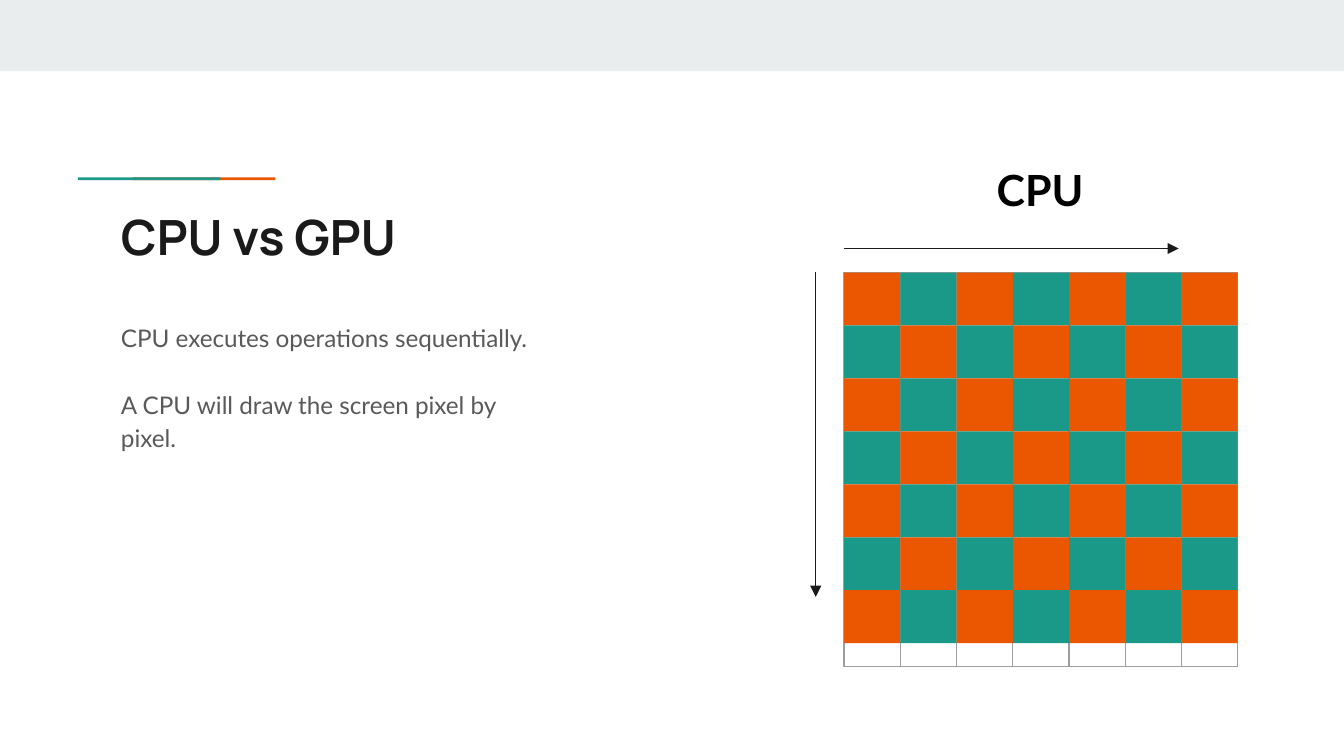
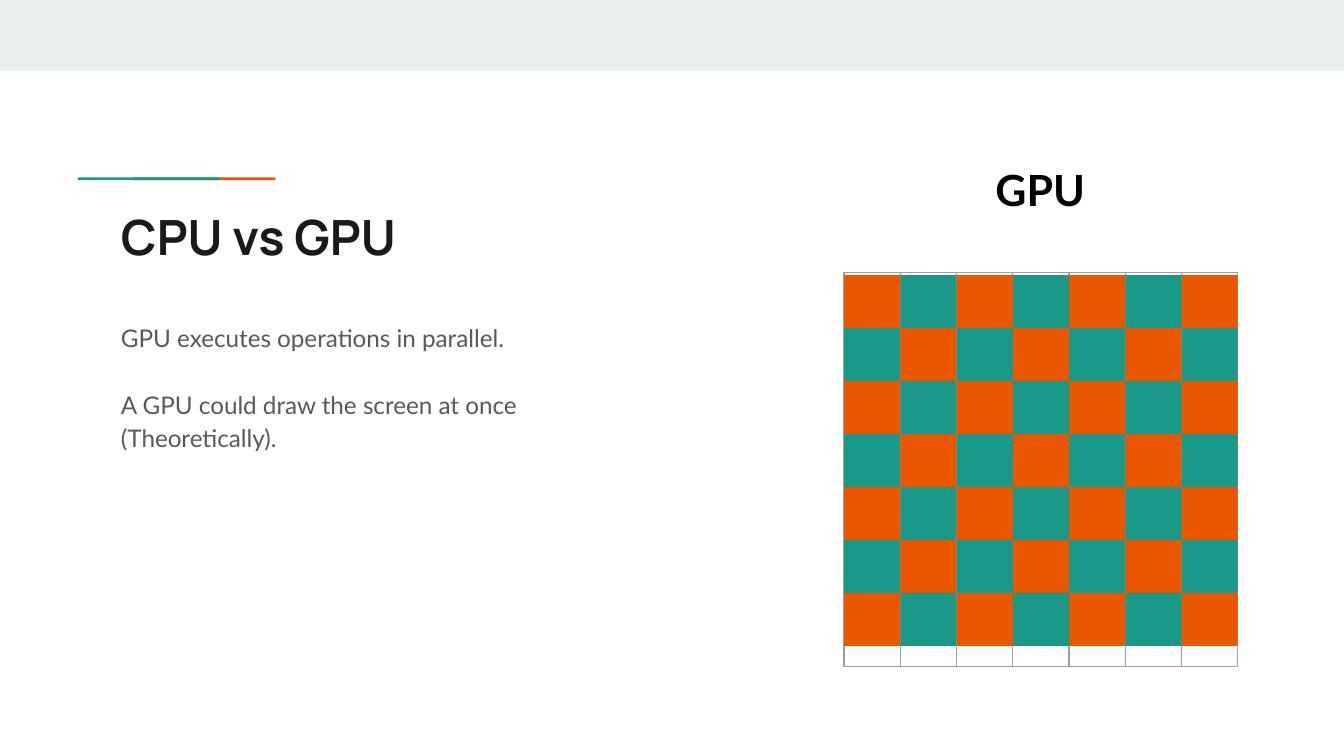
from dataclasses import dataclass
from itertools import product
from typing import Any

from lxml import etree
from pptx import Presentation
from pptx.dml.color import RGBColor
from pptx.enum.shapes import MSO_CONNECTOR, MSO_SHAPE
from pptx.enum.text import MSO_ANCHOR, MSO_AUTO_SIZE, PP_ALIGN
from pptx.oxml.ns import qn
from pptx.util import Inches, Pt

RECTANGLE = MSO_SHAPE.RECTANGLE
STRAIGHT = MSO_CONNECTOR.STRAIGHT
TOP = MSO_ANCHOR.TOP
LEFT, CENTER = PP_ALIGN.LEFT, PP_ALIGN.CENTER
NO_AUTOFIT = MSO_AUTO_SIZE.NONE

SLIDE_WIDTH, SLIDE_HEIGHT = Inches(10), Inches(5.625)
TITLE_AND_CONTENT = 1
CELLS = 7

# Colours
MIST, TEAL, ORANGE = "E9EDEE", "1A9988", "EB5600"
INK, GREY, BLACK, GRID_LINE = "1A1A1A", "595959", "000000", "9E9E9E"


# Lengths are percentages of the slide's width and height
def across(share: float) -> int:
    return round(SLIDE_WIDTH * share / 100)


def down(share: float) -> int:
    return round(SLIDE_HEIGHT * share / 100)


@dataclass(frozen=True)
class Area:
    left: float
    top: float
    width: float
    height: float

    def lengths(self) -> tuple[int, int, int, int]:
        return across(self.left), down(self.top), across(self.width), down(self.height)


@dataclass(frozen=True)
class Block:
    area: Area
    color: str


@dataclass(frozen=True)
class TextStyle:
    font: str
    size: float
    color: str
    bold: bool = False
    align: Any = LEFT
    line_spacing: float = 1.0
    gap: float = 0


@dataclass(frozen=True)
class Arrow:
    start: tuple[float, float]
    end: tuple[float, float]


@dataclass(frozen=True)
class Processor:
    name: str
    sentences: tuple[str, ...]
    board_top: float
    arrows: tuple[Arrow, ...] = ()


# Shared layout
DECORATION = (
    Block(Area(0, 0, 100, 9.42), MIST),
    Block(Area(9.9, 23.45, 10.6, 0.4), ORANGE),
    Block(Area(5.8, 23.45, 10.6, 0.4), TEAL),
)
TITLE_AREA = Area(8, 25.6, 42, 10.5)
BODY_AREA = Area(8, 40.36, 33, 43.9)
LABEL_AREA = Area(70.4, 19.9, 14, 9.8)
SCREEN_AREA = Area(62.8, 36.05, 29.3, 52.1)
BOARD_HEIGHT = 49.03

TITLE_STYLE = TextStyle("Manrope", 26, INK, bold=True)
BODY_STYLE = TextStyle("Lato", 13, GREY, line_spacing=1.15, gap=18)
LABEL_STYLE = TextStyle("Lato", 23, BLACK, bold=True, align=CENTER)

# Content of the two slides
TITLE = "CPU vs GPU"
PROCESSORS = (
    Processor(
        "CPU",
        ("CPU executes operations sequentially.",
         "A CPU will draw the screen pixel by pixel."),
        board_top=36.05,
        arrows=(Arrow((62.8, 32.87), (87.7, 32.87)),
                Arrow((60.7, 36.05), (60.7, 78.95))),
    ),
    Processor(
        "GPU",
        ("GPU executes operations in parallel.",
         "A GPU could draw the screen at once (Theoretically)."),
        board_top=36.41,
    ),
)


def rgb(color: str) -> RGBColor:
    return RGBColor.from_string(color)


def set_all(target: Any, values: dict[str, Any]) -> None:
    for name, value in values.items():
        setattr(target, name, value)


def place(box: Any, area: Area) -> None:
    set_all(box, dict(zip(("left", "top", "width", "height"), area.lengths())))


def draw_block(page: Any, block: Block) -> None:
    shape = page.shapes.add_shape(RECTANGLE, *block.area.lengths())
    shape.shadow.inherit = False
    shape.fill.solid()
    shape.fill.fore_color.rgb = rgb(block.color)
    shape.line.fill.background()


def write(box: Any, lines: tuple[str, ...], style: TextStyle) -> None:
    frame = box.text_frame
    margins = dict.fromkeys(
        ("margin_left", "margin_top", "margin_right", "margin_bottom"), Inches(0.1))
    set_all(frame, {"word_wrap": True, "auto_size": NO_AUTOFIT,
                    "vertical_anchor": TOP, **margins})
    for index, line in enumerate(lines):
        para = frame.add_paragraph() if index else frame.paragraphs[0]
        set_all(para, {"alignment": style.align, "line_spacing": style.line_spacing,
                       "space_before": Pt(0), "space_after": Pt(style.gap)})
        properties = para._p.get_or_add_pPr()
        properties.set("marL", "0")
        properties.set("indent", "0")
        etree.SubElement(properties, qn("a:buNone"))
        span = para.add_run()
        span.text = line
        set_all(span.font, {"name": style.font, "size": Pt(style.size),
                            "bold": style.bold})
        span.font.color.rgb = rgb(style.color)


def draw_arrow(page: Any, arrow: Arrow) -> None:
    (x1, y1), (x2, y2) = arrow.start, arrow.end
    connector = page.shapes.add_connector(
        STRAIGHT, across(x1), down(y1), across(x2), down(y2))
    connector.line.width = Pt(0.75)
    connector.line.color.rgb = rgb(INK)
    etree.SubElement(connector.line._get_or_add_ln(), qn("a:tailEnd"), type="triangle")
    etree.SubElement(connector._element.spPr, qn("a:effectLst"))


def outline_cell(cell: Any) -> None:
    properties = cell._tc.get_or_add_tcPr()
    for side in ("lnL", "lnR", "lnT", "lnB"):
        line = etree.SubElement(properties, qn(f"a:{side}"), w=str(Pt(0.75)))
        fill = etree.SubElement(line, qn("a:solidFill"))
        etree.SubElement(fill, qn("a:srgbClr"), val=GRID_LINE)
    cell.fill.background()


def draw_screen(page: Any, area: Area) -> None:
    table = page.shapes.add_table(CELLS, CELLS, *area.lengths()).table
    set_all(table, {"first_row": False, "horz_banding": False})
    for column in table.columns:
        column.width = across(area.width / CELLS)
    for row in table.rows:
        row.height = down(area.height / CELLS)
    for cell in table.iter_cells():
        outline_cell(cell)


def draw_board(page: Any, area: Area) -> None:
    width, height = area.width / CELLS, area.height / CELLS
    for row, column in product(range(CELLS), repeat=2):
        pixel = Area(area.left + column * width, area.top + row * height, width, height)
        draw_block(page, Block(pixel, TEAL if (row + column) % 2 else ORANGE))


def build_page(deck: Any, processor: Processor) -> None:
    page = deck.slides.add_slide(deck.slide_layouts[TITLE_AND_CONTENT])
    for block in DECORATION:
        draw_block(page, block)

    # Title and explanation
    title, body = page.shapes.title, page.placeholders[1]
    place(title, TITLE_AREA)
    write(title, (TITLE,), TITLE_STYLE)
    place(body, BODY_AREA)
    write(body, processor.sentences, BODY_STYLE)

    # Screen with its pixels
    draw_screen(page, SCREEN_AREA)
    for arrow in processor.arrows:
        draw_arrow(page, arrow)
    label = page.shapes.add_textbox(*LABEL_AREA.lengths())
    write(label, (processor.name,), LABEL_STYLE)
    draw_board(page, Area(SCREEN_AREA.left, processor.board_top,
                          SCREEN_AREA.width, BOARD_HEIGHT))


def main() -> None:
    deck = Presentation()
    set_all(deck, {"slide_width": SLIDE_WIDTH, "slide_height": SLIDE_HEIGHT})
    for processor in PROCESSORS:
        build_page(deck, processor)
    deck.save("out.pptx")


if __name__ == "__main__":
    main()
